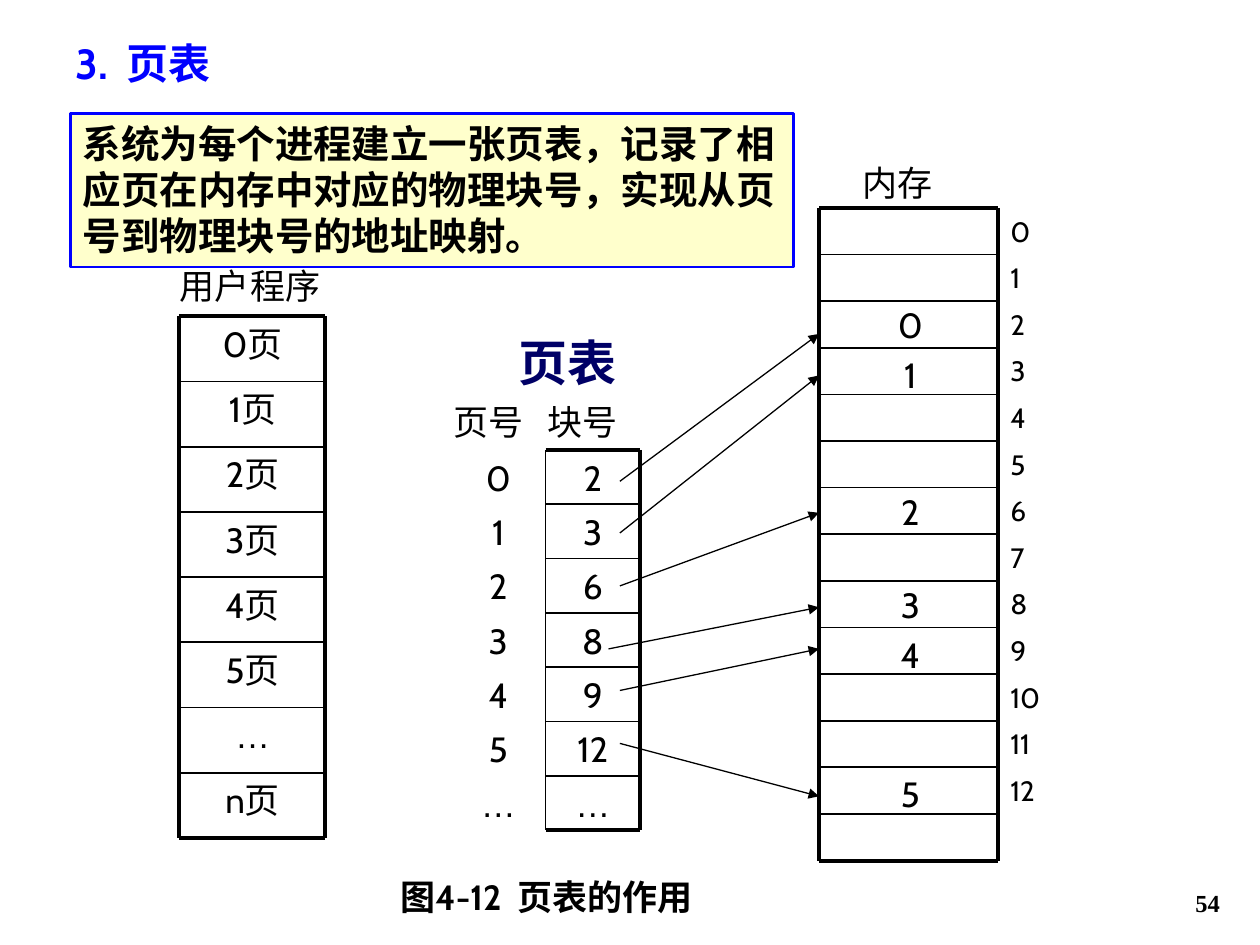
from dataclasses import dataclass
from pptx import Presentation
from pptx.dml.color import RGBColor
from pptx.enum.shapes import MSO_CONNECTOR, MSO_SHAPE
from pptx.enum.text import MSO_ANCHOR, MSO_AUTO_SIZE, PP_ALIGN
from pptx.oxml.ns import qn
from pptx.util import Inches, Pt


@dataclass
class Theme:
    black: str = "000000"
    blue: str = "0000FF"
    navy: str = "000066"
    cream: str = "FFFFCC"
    font: str = "Cabin"
    asian: str = "Noto Sans CJK SC"
    dots: str = "Arial"
    serif: str = "Times New Roman"
    page: int = 14
    label: int = 16
    body: int = 20
    note: int = 22
    title: int = 24
    head: int = 28
    thin: float = 1
    thick: float = 2.25
    arrow: float = 0.75


theme = Theme()
deck = Presentation()
deck.slide_width, deck.slide_height = Inches(10), Inches(7.5)
slide = deck.slides.add_slide(deck.slide_layouts[5])


def write(at, text, size=theme.body, font=theme.font, asian=None,
          color=theme.black, bold=False, align=PP_ALIGN.LEFT,
          anchor=MSO_ANCHOR.TOP, pad=(0.1, 0.05), shape=None):
    """Place text in a given shape, or in a new text box."""
    box = [Inches(v) for v in at]
    shape = shape or slide.shapes.add_textbox(*box)
    for name, value in zip(("left", "top", "width", "height"), box):
        setattr(shape, name, value)
    frame = shape.text_frame
    look = {"word_wrap": True, "auto_size": MSO_AUTO_SIZE.NONE,
            "vertical_anchor": anchor,
            "margin_left": Inches(pad[0]), "margin_right": Inches(pad[0]),
            "margin_top": Inches(pad[1]), "margin_bottom": Inches(pad[1])}
    for name, value in look.items():
        setattr(frame, name, value)
    para = frame.paragraphs[0]
    para.alignment = align
    para.space_before = Pt(0)
    run = para.add_run()
    run.text = text
    for name, value in {"size": Pt(size), "name": font, "bold": bold}.items():
        setattr(run.font, name, value)
    run.font.color.rgb = RGBColor.from_string(color)
    face = run.font._element.makeelement(qn("a:ea"), {"typeface": asian or font})
    run.font._element.find(qn("a:latin")).addnext(face)


def rule(x1, y1, x2, y2, width=theme.thin, head=False):
    """Draw a black line, with an arrowhead at its end if asked."""
    line = slide.shapes.add_connector(
        MSO_CONNECTOR.STRAIGHT, *[Inches(v) for v in (x1, y1, x2, y2)])
    line.line.width = Pt(width)
    line.line.color.rgb = RGBColor.from_string(theme.black)
    props = line._element.spPr
    props.append(props.makeelement(qn("a:effectLst"), {}))
    if head:
        edge = line.line._get_or_add_ln()
        edge.append(edge.makeelement(qn("a:tailEnd"), {"type": "triangle"}))


# Title and page number
write((0.5, 0.25, 2.33, 0.5), "3.  页表", theme.title, asian=theme.asian,
      color=theme.blue, bold=True, shape=slide.shapes.title)
write((7.7, 6.83, 2.08, 0.5), "54", theme.page, theme.serif, bold=True,
      align=PP_ALIGN.RIGHT, anchor=MSO_ANCHOR.BOTTOM)

# Frames of the three grids: left, right, top, bottom, rows, left edge width
grids = [
    (1.42, 2.58, 2.51, 6.65, 8, theme.thick),
    (4.33, 5.08, 3.57, 6.59, 7, theme.thin),
    (6.5, 7.92, 1.65, 6.83, 14, theme.thick),
]
for left, right, top, low, rows, edge in grids:
    step = (low - top) / rows
    for row in range(rows + 1):
        y = top + row * step
        rule(left, y, right, y, theme.thin if 0 < row < rows else theme.thick)
    rule(left, top, left, low, edge)
    rule(right, top, right, low, theme.thick)

# Columns of text: left, top, width, row height, size, alignment, words
mid = PP_ALIGN.CENTER
pages = [f"{name}页" for name in "012345"] + ["…", "n页"]
blocks = ["2", "3", "6", "8", "9", "12", "…"]
columns = [
    (1.42, 2.51, 1.17, 4.14 / 8, theme.body, mid, pages),
    (3.58, 3.57, 0.75, 3.02 / 7, theme.body, mid, [*"012345", "…"]),
    (4.33, 3.57, 0.75, 3.02 / 7, theme.body, mid, blocks),
    (7.92, 1.65, 0.5, 0.37, theme.label, PP_ALIGN.LEFT, map(str, range(13))),
]
for left, top, width, step, size, align, words in columns:
    for row, word in enumerate(words):
        write((left, top + row * step, width, step), word, size,
              theme.dots if word == "…" else theme.font, align=align)

# Pages held in memory
for page, y in enumerate((2.36, 2.76, 3.84, 4.58, 4.98, 6.08)):
    write((6.85, y, 0.75, 0.43), str(page), align=mid)

# Arrows from block numbers to memory
arrows = [(4.92, 3.82, 2.65), (4.92, 4.23, 2.98), (4.92, 4.65, 4.07),
          (4.83, 5.15, 4.82), (4.92, 5.48, 5.15), (4.92, 5.9, 6.32)]
for x, start, end in arrows:
    rule(x, start, 6.5, end, theme.arrow, head=True)

# Headings and caption
for x, y, width, text in [(1.33, 2.05, 1.33, "用户程序"), (3.5, 3.13, 0.8, "页号"),
                          (4.25, 3.13, 0.8, "块号"), (6.75, 1.23, 0.83, "内存")]:
    write((x, y, width, 0.43), text)
write((3.92, 2.64, 1.17, 0.47), "页表", theme.head, theme.asian,
      color=theme.navy, bold=True, align=mid, pad=(0.02, 0))
write((3.08, 6.9, 3, 0.43), "图4-12  页表的作用", bold=True)

# Explanation box
at = (0.56, 0.9, 5.74, 1.22)
note = slide.shapes.add_shape(MSO_SHAPE.RECTANGLE, *[Inches(v) for v in at])
note.shadow.inherit = False
note.fill.solid()
note.fill.fore_color.rgb = RGBColor.from_string(theme.cream)
note.line.color.rgb = RGBColor.from_string(theme.blue)
note.line.width = Pt(1.5)
write(at, "系统为每个进程建立一张页表，记录了相应页在内存中对应的物理块号，"
      "实现从页号到物理块号的地址映射。", theme.note, bold=True, shape=note)

deck.save("out.pptx")
